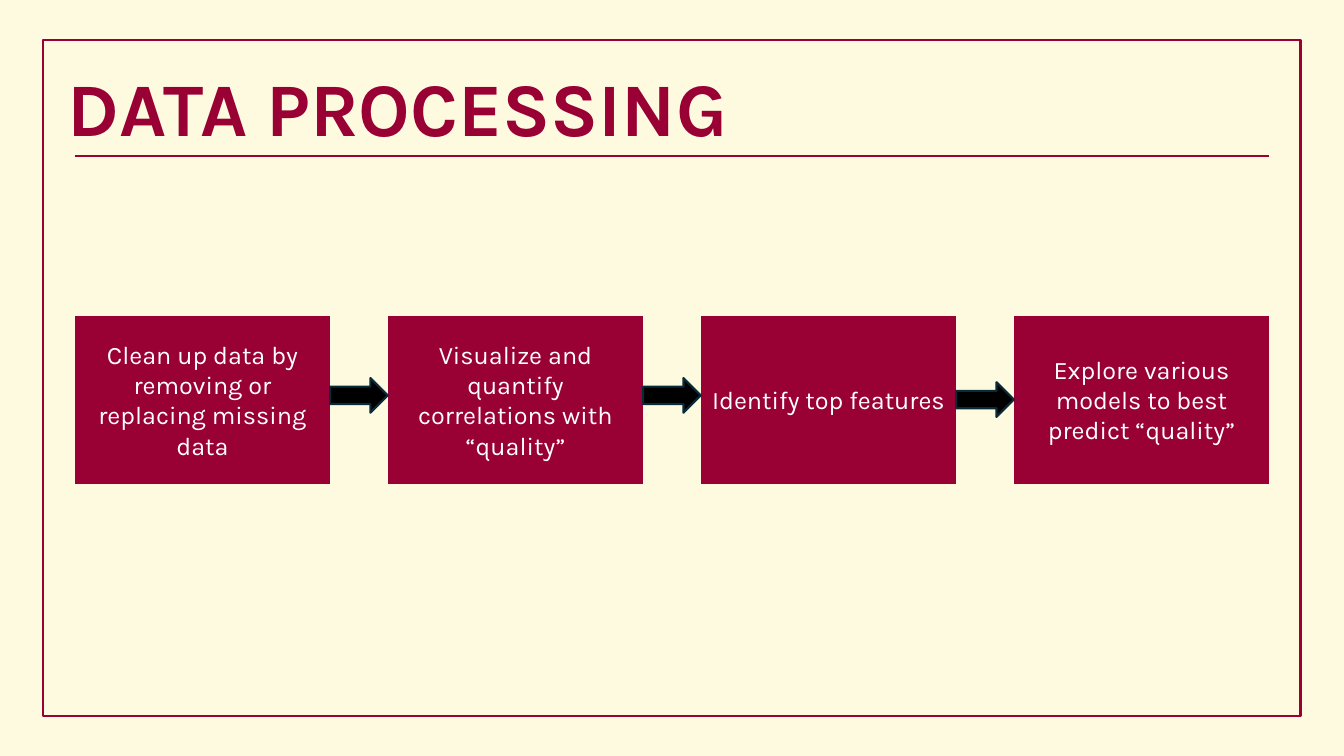
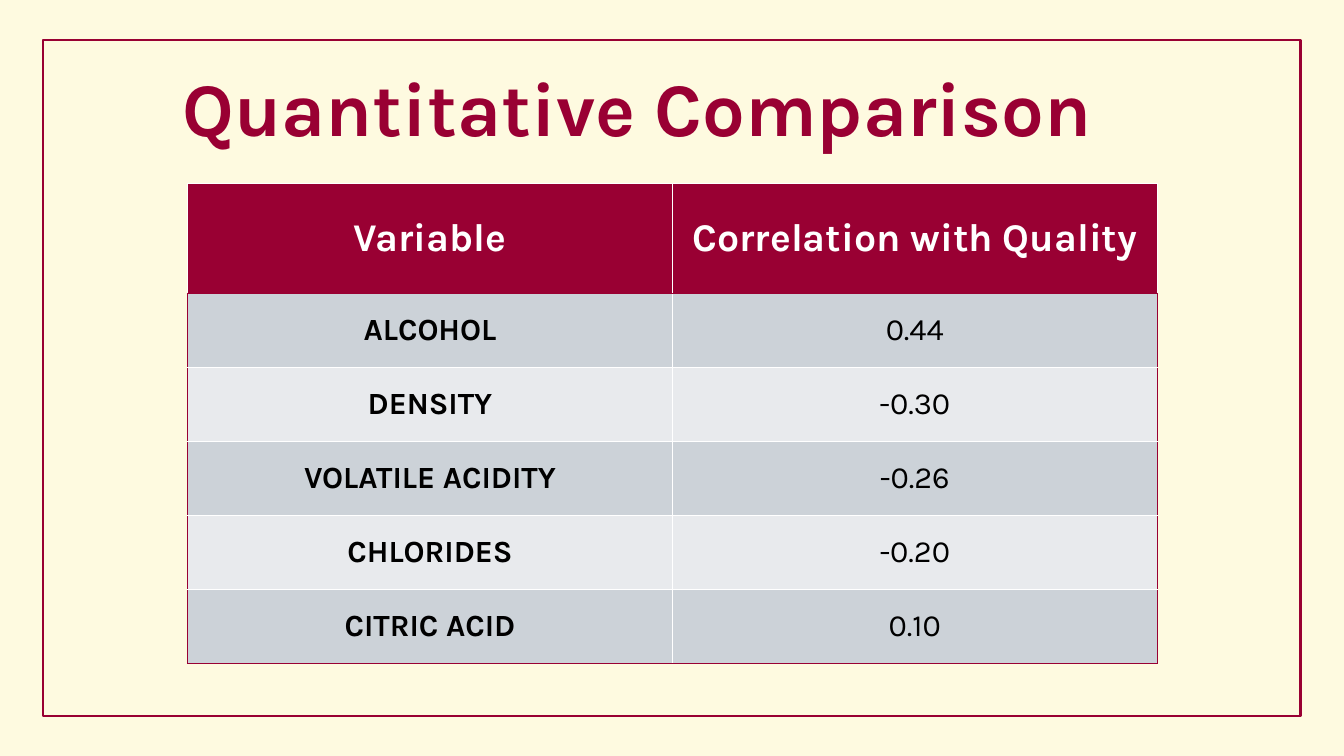
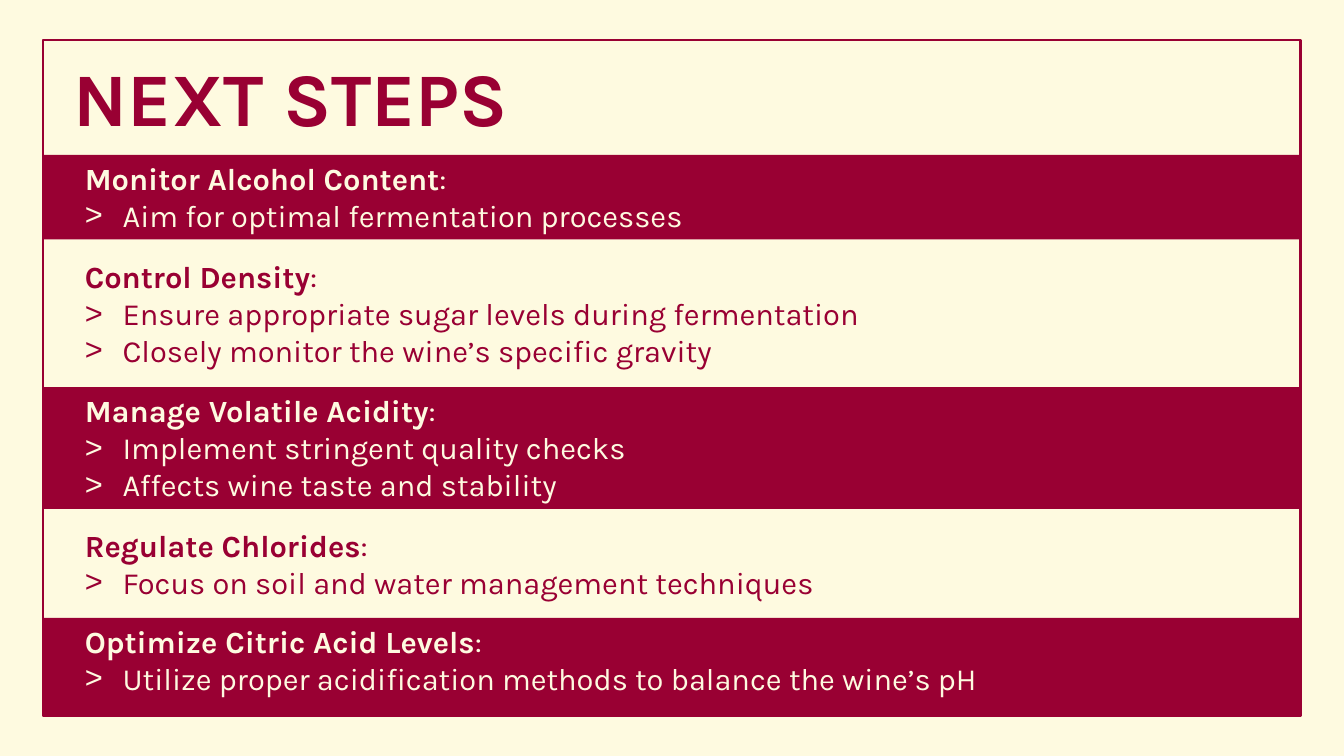
from dataclasses import dataclass

from lxml import etree
from pptx import Presentation
from pptx.dml.color import RGBColor
from pptx.enum.shapes import MSO_CONNECTOR, MSO_SHAPE
from pptx.enum.text import MSO_ANCHOR, MSO_AUTO_SIZE, PP_ALIGN
from pptx.oxml.ns import qn
from pptx.util import Pt

LEFT, CENTER = PP_ALIGN.LEFT, PP_ALIGN.CENTER
TOP, MIDDLE = MSO_ANCHOR.TOP, MSO_ANCHOR.MIDDLE
NO_AUTOFIT = MSO_AUTO_SIZE.NONE
RECTANGLE, PROCESS = MSO_SHAPE.RECTANGLE, MSO_SHAPE.FLOWCHART_PROCESS
RIGHT_ARROW = MSO_SHAPE.RIGHT_ARROW
STRAIGHT = MSO_CONNECTOR.STRAIGHT
TITLE_ONLY = 5


@dataclass(frozen=True)
class Theme:
    font: str = "Karla"
    bullet_font: str = "Arial"
    wine: str = "990033"
    cream: str = "FEFAE0"
    white: str = "FFFFFF"
    black: str = "000000"
    arrow_edge: str = "092A39"
    row_fills: tuple = ("CCD2D8", "E8EAED")
    title_size: float = 54
    header_size: float = 28
    body_size: float = 22
    box_size: float = 18
    line_width: float = 1.5


THEME = Theme()
SLIDE_WIDTH, SLIDE_HEIGHT = 960, 540
FRAME = (31, 28.8, 898, 511.2 - 28.8 + 28.8 - 0)[:3] + (482.4,)
FRAME = (31, 28.8, 898, 482.4)
CONTENT_LEFT, CONTENT_WIDTH = 53.4, 853.2
RULE_TOP = 111.6
INSET = 7.2

PROCESS_STEPS = [
    "Clean up data by removing or replacing missing data",
    "Visualize and quantify correlations with “quality”",
    "Identify top features",
    "Explore various models to best predict “quality”",
]
ARROW_TOPS = [270, 270, 273]

CORRELATIONS = [
    ("Variable", "Correlation with Quality"),
    ("ALCOHOL", "0.44"),
    ("DENSITY", "-0.30"),
    ("VOLATILE ACIDITY", "-0.26"),
    ("CHLORIDES", "-0.20"),
    ("CITRIC ACID", "0.10"),
]

# top, height, heading, bullets
NEXT_STEPS = [
    (110.6, 60.4, "Monitor Alcohol Content",
     ["Aim for optimal fermentation processes"]),
    (180.7, 87, "Control Density",
     ["Ensure appropriate sugar levels during fermentation",
      "Closely monitor the wine’s specific gravity"]),
    (276.5, 87, "Manage Volatile Acidity",
     ["Implement stringent quality checks",
      "Affects wine taste and stability"]),
    (372.6, 60.4, "Regulate Chlorides",
     ["Focus on soil and water management techniques"]),
    (441.4, 69.8, "Optimize Citric Acid Levels",
     ["Utilize proper acidification methods to balance the wine’s pH"]),
]


def color(value):
    return RGBColor.from_string(value)


def points(*lengths):
    return [Pt(length) for length in lengths]


def format_runs(para, size, value, bold=False, align=LEFT):
    para.alignment = align
    for span in para.runs:
        span.font.name = THEME.font
        span.font.size = Pt(size)
        span.font.bold = bold
        span.font.color.rgb = color(value)


def add_box(page, kind, bounds, fill=None, line=None):
    """Add a preset shape without shadow; fill and line are optional colours."""
    box = page.shapes.add_shape(kind, *points(*bounds))
    box.shadow.inherit = False
    if fill:
        box.fill.solid()
        box.fill.fore_color.rgb = color(fill)
    else:
        box.fill.background()
    if line:
        box.line.color.rgb = color(line)
        box.line.width = Pt(THEME.line_width)
    else:
        box.line.fill.background()
    return box


def add_page(deck, title, bounds, align=LEFT):
    """Add a slide with the shared title style."""
    page = deck.slides.add_slide(deck.slide_layouts[TITLE_ONLY])
    box = page.shapes.title
    box.left, box.top, box.width, box.height = points(*bounds)
    frame = box.text_frame
    frame.text = title
    frame.word_wrap = True
    frame.auto_size = NO_AUTOFIT
    frame.vertical_anchor = MIDDLE
    para = frame.paragraphs[0]
    para.line_spacing = 0.9
    format_runs(para, THEME.title_size, THEME.wine, True, align)
    return page


def add_frame(page):
    add_box(page, RECTANGLE, FRAME, line=THEME.wine)


def add_title_rule(page):
    rule = page.shapes.add_connector(STRAIGHT, *points(
        CONTENT_LEFT, RULE_TOP, CONTENT_LEFT + CONTENT_WIDTH, RULE_TOP))
    rule.line.color.rgb = color(THEME.wine)
    rule.line.width = Pt(THEME.line_width)
    etree.SubElement(rule._element.spPr, qn("a:effectLst"))


def add_flow(page, steps, arrow_tops):
    """Spread the step boxes over the content width, with arrows in the gaps."""
    top, width, height, arrow_height = 225.4, 182.4, 120.2, 24.8
    gap = (CONTENT_WIDTH - len(steps) * width) / (len(steps) - 1)
    lefts = [CONTENT_LEFT + i * (width + gap) for i in range(len(steps))]
    for left, text in zip(lefts, steps):
        box = add_box(page, PROCESS, (left, top, width, height), THEME.wine)
        frame = box.text_frame
        frame.text = text
        frame.word_wrap = True
        frame.vertical_anchor = MIDDLE
        format_runs(frame.paragraphs[0], THEME.box_size, THEME.white, align=CENTER)
    for left, arrow_top in zip(lefts, arrow_tops):
        add_box(page, RIGHT_ARROW, (left + width, arrow_top, gap, arrow_height),
                THEME.black, THEME.arrow_edge)


def set_borders(cell, **sides):
    """Give a cell 1 pt borders; call before its fill is set."""
    properties = cell._tc.get_or_add_tcPr()
    for side in "LRTB":
        line = etree.SubElement(properties, qn(f"a:ln{side}"), w=str(Pt(1)))
        fill = etree.SubElement(line, qn("a:solidFill"))
        etree.SubElement(fill, qn("a:srgbClr"), val=sides[side])


def add_correlation_table(page, rows):
    left, top, width, header_height, row_height = 134, 131, 692.6, 78.5, 52.85
    last_row, last_column = len(rows) - 1, len(rows[0]) - 1
    table = page.shapes.add_table(len(rows), len(rows[0]), *points(
        left, top, width, header_height + last_row * row_height)).table
    for column in table.columns:
        column.width = Pt(width / len(rows[0]))
    for i, texts in enumerate(rows):
        header = i == 0
        table.rows[i].height = Pt(header_height if header else row_height)
        for j, text in enumerate(texts):
            cell = table.cell(i, j)
            outer = {
                "L": j == 0 and not header,
                "R": j == last_column and not header,
                "T": i == 1,
                "B": i in (0, last_row),
            }
            set_borders(cell, **{side: THEME.wine if edge else THEME.white
                                 for side, edge in outer.items()})
            cell.fill.solid()
            cell.fill.fore_color.rgb = color(
                THEME.wine if header else THEME.row_fills[(i - 1) % 2])
            cell.text = text
            cell.vertical_anchor = MIDDLE
            format_runs(cell.text_frame.paragraphs[0],
                        THEME.header_size if header else THEME.body_size,
                        THEME.white if header else THEME.black,
                        header or j == 0, CENTER)


def add_bullet(para):
    indent = Pt(27)
    properties = para._p.get_or_add_pPr()
    properties.set("marL", str(indent))
    properties.set("indent", str(-indent))
    etree.SubElement(properties, qn("a:buFont"), typeface=THEME.bullet_font)
    etree.SubElement(properties, qn("a:buChar"), char=">")


def add_next_step(page, top, height, heading, bullets, banded):
    """Add a heading with its bullets, on a full-width band if banded."""
    left, _, width, _ = FRAME
    bounds = (left, top, width, height)
    if banded:
        box = add_box(page, RECTANGLE, bounds, THEME.wine)
    else:
        box = page.shapes.add_textbox(*points(*bounds))
    value = THEME.cream if banded else THEME.wine
    frame = box.text_frame
    frame.word_wrap = True
    frame.vertical_anchor = TOP
    frame.margin_left = Pt(CONTENT_LEFT - left + INSET)
    para = frame.paragraphs[0]
    para.text = heading
    para.add_run().text = ":"
    format_runs(para, THEME.body_size, value)
    para.runs[0].font.bold = True
    for text in bullets:
        para = frame.add_paragraph()
        para.text = text
        format_runs(para, THEME.body_size, value)
        add_bullet(para)


def main():
    deck = Presentation()
    deck.slide_width, deck.slide_height = points(SLIDE_WIDTH, SLIDE_HEIGHT)
    background = deck.slide_master.background.fill
    background.solid()
    background.fore_color.rgb = color(THEME.cream)

    title_bounds = (41, 41.8, 828, 76.3)
    page = add_page(deck, "DATA PROCESSING", title_bounds)
    add_frame(page)
    add_title_rule(page)
    add_flow(page, PROCESS_STEPS, ARROW_TOPS)

    page = add_page(deck, "Quantitative Comparison", title_bounds, CENTER)
    add_frame(page)
    add_correlation_table(page, CORRELATIONS)

    page = add_page(deck, "NEXT STEPS", (45.4, 28.8, 828, 87.8))
    for i, step in enumerate(NEXT_STEPS):
        add_next_step(page, *step, banded=i % 2 == 0)
    add_frame(page)
    add_title_rule(page)

    deck.save("out.pptx")


if __name__ == "__main__":
    main()
